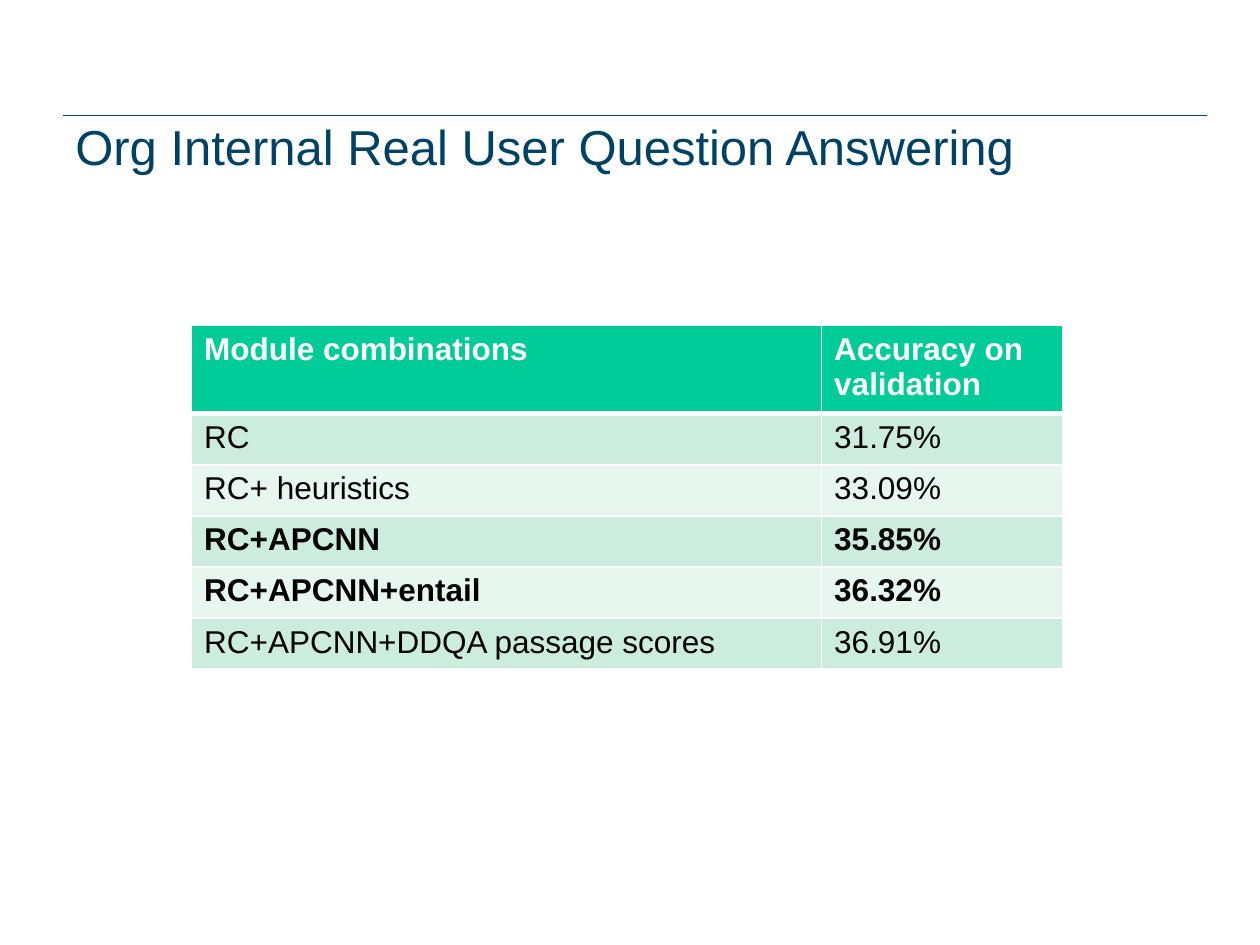
from dataclasses import dataclass

from pptx import Presentation
from pptx.dml.color import RGBColor
from pptx.enum.shapes import MSO_CONNECTOR
from pptx.enum.text import MSO_ANCHOR
from pptx.oxml.ns import qn
from pptx.util import Pt
from lxml.etree import SubElement


@dataclass(frozen=True)
class Theme:
    font: str = "Arial"
    navy: str = "004266"
    white: str = "FFFFFF"
    black: str = "000000"
    header: str = "00CC99"
    bands: tuple = ("CCECDE", "E7F6EF")
    title_size: float = 28
    table_size: float = 18


THEME = Theme()

HEADINGS = ("Module combinations", "Accuracy on validation")
# module combination, accuracy, emphasised
RESULTS = [
    ("RC", "31.75%", False),
    ("RC+ heuristics", "33.09%", False),
    ("RC+APCNN", "35.85%", True),
    ("RC+APCNN+entail", "36.32%", True),
    ("RC+APCNN+DDQA passage scores", "36.91%", False),
]


def write(tf, text, size, color, bold=False, spacing=None):
    tf.word_wrap = True
    p = tf.paragraphs[0]
    if spacing:
        p.line_spacing = spacing
    r = p.add_run()
    r.text = text
    r.font.name = THEME.font
    r.font.size = Pt(size)
    r.font.bold = bold
    r.font.color.rgb = RGBColor.from_string(color)


def set_borders(cell, top=1, bottom=1):
    tcPr = cell._tc.get_or_add_tcPr()
    for side, width in (("L", 1), ("R", 1), ("T", top), ("B", bottom)):
        ln = SubElement(tcPr, qn(f"a:ln{side}"), w=str(Pt(width)))
        fill = SubElement(ln, qn("a:solidFill"))
        SubElement(fill, qn("a:srgbClr"), val=THEME.white)


def add_title(s, text, x, y, w, h, rule_w):
    # Rule along the top edge
    line = s.shapes.add_connector(
        MSO_CONNECTOR.STRAIGHT, Pt(x), Pt(y), Pt(x + rule_w), Pt(y))
    line.line.color.rgb = RGBColor.from_string(THEME.navy)
    line.line.width = Pt(0.75)
    SubElement(line._element.spPr, qn("a:effectLst"))

    # Title text
    tf = s.shapes.add_textbox(Pt(x), Pt(y), Pt(w), Pt(h)).text_frame
    tf.vertical_anchor = MSO_ANCHOR.TOP
    write(tf, text, THEME.title_size, THEME.navy, spacing=0.93)


def add_results(s, x, y, w, h, first_col=360, header_h=50.4):
    n = len(RESULTS)
    table = s.shapes.add_table(n + 1, 2, Pt(x), Pt(y), Pt(w), Pt(h)).table
    table.horz_banding = False
    for col, width in zip(table.columns, (first_col, w - first_col)):
        col.width = Pt(width)
    for i, row in enumerate(table.rows):
        row.height = Pt((h - header_h) / n if i else header_h)

    # Header row, with a heavier line below
    for cell, text in zip(table.rows[0].cells, HEADINGS):
        set_borders(cell, bottom=3)
        cell.fill.solid()
        cell.fill.fore_color.rgb = RGBColor.from_string(THEME.header)
        write(cell.text_frame, text, THEME.table_size, THEME.white, bold=True)

    # Banded result rows
    for i, (*texts, bold) in enumerate(RESULTS):
        for cell, text in zip(table.rows[i + 1].cells, texts):
            set_borders(cell, top=1 if i else 3)
            cell.fill.solid()
            cell.fill.fore_color.rgb = RGBColor.from_string(THEME.bands[i % 2])
            write(cell.text_frame, text, THEME.table_size, THEME.black, bold=bold)


def main():
    prs = Presentation()
    prs.slide_width, prs.slide_height = Pt(720), Pt(540)
    s = prs.slides.add_slide(prs.slide_layouts[6])
    add_title(s, "Org Internal Real User Question Answering",
              36, 66, 644.4, 42.5, rule_w=653.8)
    add_results(s, 109.5, 186, 498, 196.4)
    prs.save("out.pptx")


if __name__ == "__main__":
    main()
